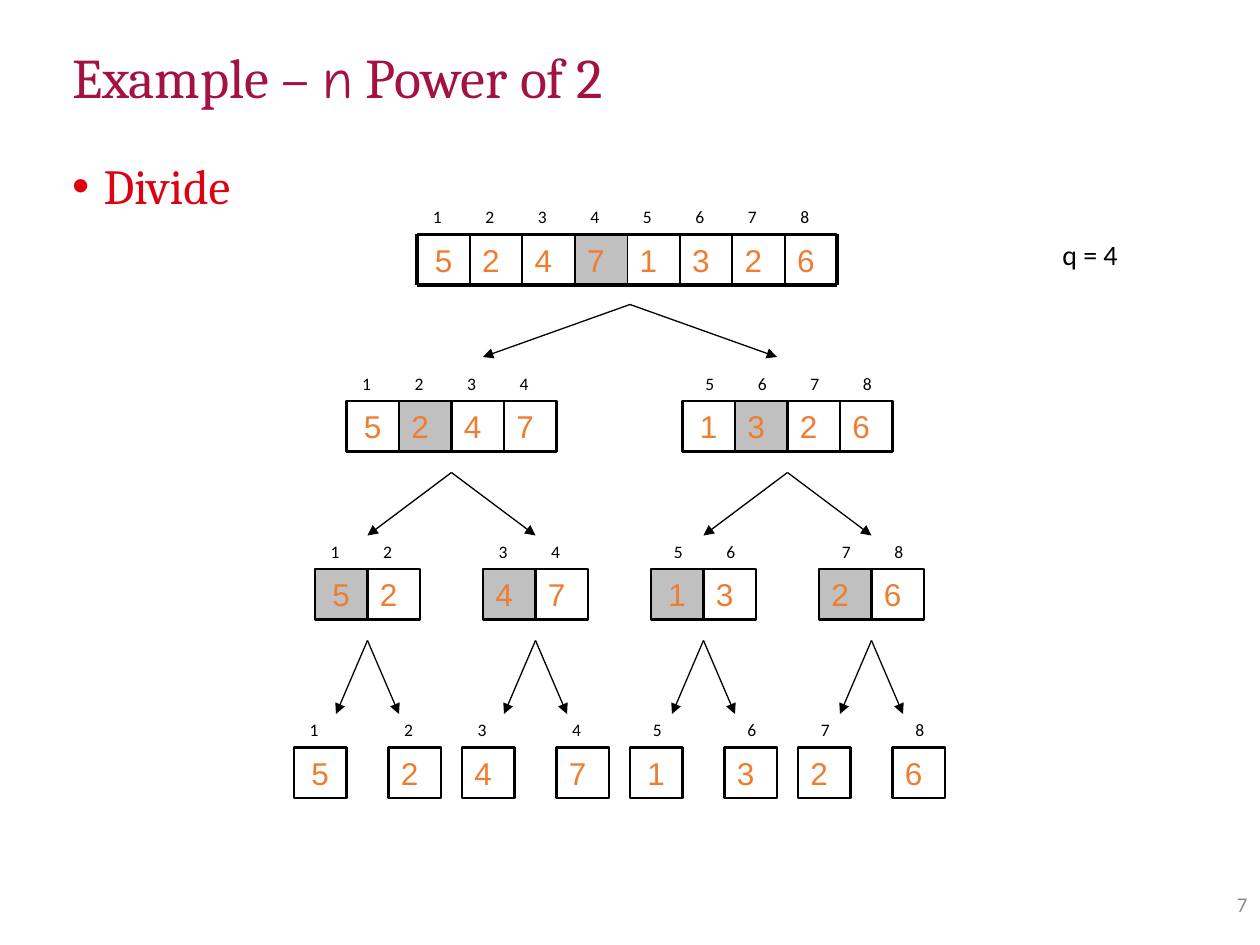
from dataclasses import dataclass

from lxml.etree import SubElement
from pptx import Presentation
from pptx.dml.color import RGBColor
from pptx.enum.shapes import MSO_CONNECTOR, MSO_SHAPE
from pptx.enum.text import MSO_ANCHOR, MSO_AUTO_SIZE, PP_ALIGN
from pptx.oxml.ns import qn
from pptx.util import Pt

BLACK, GREY, ORANGE = "000000", "C0C0C0", "ED7D31"
CRIMSON, RED, PAGE_GREY = "A4123F", "DD0111", "8C8C8C"
CELL_WIDTH, CELL_HEIGHT = 30, 28.8
VALUES = [5, 2, 4, 7, 1, 3, 2, 6]


@dataclass
class Level:
    """One row of subarrays; each arrow pair spreads from its apex."""
    top: float
    centres: list
    pivots: list  # indexes of the shaded cells
    apex_y: float = 0
    tip_y: float = 0
    spread: float = 0
    apex_shift: float = 0


LEVELS = [
    Level(134, [358.5], [3], 174, 204, 84, 1.5),
    Level(229.2, [258, 450], [1, 5], 270, 306, 48),
    Level(325.2, [210, 306, 402, 498], [0, 2, 4, 6], 366, 408, 18),
    Level(427.2, [middle + side for middle in (210, 306, 402, 498)
                  for side in (-27, 27)], []),
]


def colour(hex_string):
    return RGBColor.from_string(hex_string)


def place(shape, left, top, width, height):
    shape.left, shape.top = Pt(left), Pt(top)
    shape.width, shape.height = Pt(width), Pt(height)


def format_font(font, name, size, hex_string):
    font.name, font.size = name, Pt(size)
    font.color.rgb = colour(hex_string)


def add_label(shapes, text, left, top, width, height, size, hex_string=BLACK):
    box = shapes.add_textbox(Pt(left), Pt(top), Pt(width), Pt(height))
    box.text_frame.text = text
    paragraph = box.text_frame.paragraphs[0]
    format_font(paragraph.runs[0].font, "Calibri", size, hex_string)
    return box


def add_line(shapes, start, end, width, arrow=False):
    line = shapes.add_connector(MSO_CONNECTOR.STRAIGHT, Pt(start[0]), Pt(start[1]),
                                Pt(end[0]), Pt(end[1]))
    line.line.color.rgb = colour(BLACK)
    line.line.width = Pt(width)
    properties = line._element.spPr
    if arrow:
        SubElement(properties.find(qn("a:ln")), qn("a:tailEnd"), type="triangle")
    SubElement(properties, qn("a:effectLst"))


def add_cell(shapes, value, left, top, shaded, bordered, leading):
    cell = shapes.add_shape(MSO_SHAPE.RECTANGLE, Pt(left), Pt(top),
                            Pt(CELL_WIDTH), Pt(CELL_HEIGHT))
    cell.shadow.inherit = False
    if shaded:
        cell.fill.solid()
        cell.fill.fore_color.rgb = colour(GREY)
    else:
        cell.fill.background()
    if bordered:
        cell.line.color.rgb = colour(BLACK)
        cell.line.width = Pt(1.5)
    else:
        cell.line.fill.background()
    frame = cell.text_frame
    frame.text = str(value)
    frame.word_wrap = True
    frame.vertical_anchor = MSO_ANCHOR.MIDDLE if leading else MSO_ANCHOR.TOP
    if leading:
        frame.margin_left = Pt(10)
    paragraph = frame.paragraphs[0]
    paragraph.alignment = PP_ALIGN.LEFT
    format_font(paragraph.runs[0].font, "Arial", 18, ORANGE)


def add_frame(shapes, left, top, count):
    """Rule a row of cells: thick outline, thin dividers."""
    right, bottom = left + count * CELL_WIDTH, top + CELL_HEIGHT
    for y in (top, bottom):
        add_line(shapes, (left, y), (right, y), 2.25)
    for index in range(count + 1):
        x = left + index * CELL_WIDTH
        add_line(shapes, (x, top), (x, bottom), 2.25 if index in (0, count) else 1)


def add_level(slide, level):
    shapes = slide.shapes.add_group_shape().shapes
    size = len(VALUES) // len(level.centres)
    whole = size == len(VALUES)
    for part, centre in enumerate(level.centres):
        left = centre - size * CELL_WIDTH / 2
        for step in range(size):
            index = part * size + step
            x = left + step * CELL_WIDTH
            leading = index == 0 or (index == 4 and not whole)
            add_cell(shapes, VALUES[index], x, level.top,
                     index in level.pivots, not whole, leading)
            # Index numbers of the right half sit a little further right
            shift = 6 if index >= 4 and not whole else 1.8
            add_label(shapes, str(index + 1), x + shift, level.top - 19.8, 18, 19.4, 10)
        if whole:
            add_frame(shapes, left, level.top, size)
        if level.spread:
            apex = centre + level.apex_shift
            for side in (-1, 1):
                add_line(shapes, (apex, level.apex_y),
                         (apex + side * level.spread, level.tip_y), 0.75, arrow=True)


def add_title(slide):
    title = slide.shapes.title
    place(title, 34, 27.4, 662, 36.7)
    frame = title.text_frame
    frame.auto_size = MSO_AUTO_SIZE.NONE
    frame.vertical_anchor = MSO_ANCHOR.MIDDLE
    paragraph = frame.paragraphs[0]
    paragraph.alignment = PP_ALIGN.LEFT
    paragraph.line_spacing = 0.9
    for text, font_name in (("Example – ", "Cambria"), ("n", "Comic Neue"),
                            (" Power of 2", "Cambria")):
        run = paragraph.add_run()
        run.text = text
        format_font(run.font, font_name, 32, CRIMSON)


def add_body(slide):
    body = slide.placeholders[1]
    place(body, 34, 89.3, 662, 386.6)
    frame = body.text_frame
    frame.text = "Divide"
    frame.auto_size = MSO_AUTO_SIZE.NONE
    paragraph = frame.paragraphs[0]
    paragraph.line_spacing = 0.9
    paragraph.space_before = Pt(0)
    properties = paragraph._p.get_or_add_pPr()
    properties.set("marL", str(Pt(18)))
    properties.set("indent", str(Pt(-18)))
    SubElement(properties, qn("a:buFont"), typeface="Arial")
    SubElement(properties, qn("a:buChar"), char="•")
    format_font(paragraph.runs[0].font, "Cambria", 28, RED)


def main():
    presentation = Presentation()
    presentation.slide_width, presentation.slide_height = Pt(720), Pt(540)
    slide = presentation.slides.add_slide(presentation.slide_layouts[1])

    # Heading and bullet
    add_title(slide)
    add_body(slide)

    # Recursion tree
    for level in LEVELS:
        add_level(slide, level)

    # Split point
    split = add_label(slide.shapes, "q = 4", 600, 132, 78, 26.6, 16)
    split.text_frame.word_wrap = True

    # Page number
    number = add_label(slide.shapes, "7", 552, 504, 168, 25, 12, PAGE_GREY)
    number.text_frame.word_wrap = True
    number.text_frame.vertical_anchor = MSO_ANCHOR.MIDDLE
    number.text_frame.paragraphs[0].alignment = PP_ALIGN.RIGHT

    presentation.save("out.pptx")


if __name__ == "__main__":
    main()
